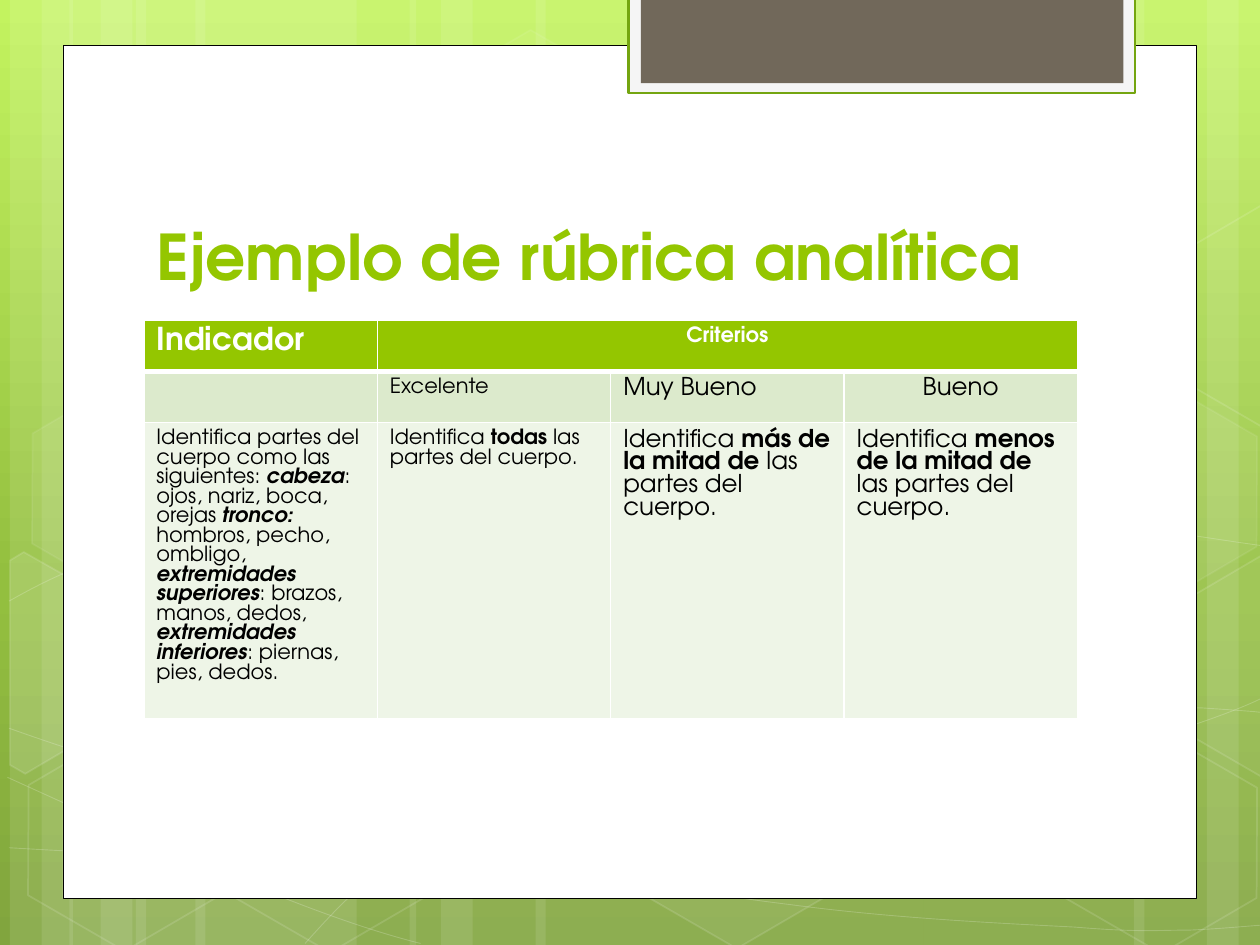
from copy import deepcopy

from lxml import etree
from pptx import Presentation
from pptx.dml.color import RGBColor
from pptx.enum.shapes import MSO_SHAPE
from pptx.enum.text import MSO_ANCHOR, PP_ALIGN
from pptx.oxml.ns import qn
from pptx.util import Cm, Pt

RECT, HEXA = MSO_SHAPE.RECTANGLE, MSO_SHAPE.HEXAGON
LEFT, MID = PP_ALIGN.LEFT, PP_ALIGN.CENTER
FONT = "TeX Gyre Adventor"
HUES = {
    "white": "FFFFFF", "black": "000000", "lime": "94C600", "edge": "74A510",
    "pale": "F5F5F5", "brown": "71685A", "mint": "DCEACC", "mist": "EEF5E7",
    "top": "C3F35F", "mid": "93BF3F", "low": "81A53E",
}
TONE = {name: RGBColor.from_string(code) for name, code in HUES.items()}


def paint(shape, fill=None, line=None, width=1, veil=100, haze=100):
    """Set fill and line; veil and haze are their opacities in percent."""
    shape.shadow.inherit = False
    for part, hue, alpha in ((shape.fill, fill, veil), (shape.line.fill, line, haze)):
        if not hue or not alpha:
            part.background()
            continue
        part.solid()
        part.fore_color.rgb = TONE[hue]
        if alpha < 100:
            root = shape._element.spPr
            if part is not shape.fill:
                root = root.find(qn("a:ln"))
            clr = root.find(qn("a:solidFill")).find(qn("a:srgbClr"))
            etree.SubElement(clr, qn("a:alpha")).set("val", str(alpha * 1000))
    if line:
        shape.line.width = Pt(width)


def trace(points, close):
    spots = [(Cm(x), Cm(y)) for x, y in points]
    pen = shapes.build_freeform(*spots[0], scale=1.0)
    pen.add_line_segments(spots[1:], close=close)
    return pen.convert_to_shape()


deck = Presentation()
deck.slide_width, deck.slide_height = Cm(25.4), Cm(19.05)
slide = deck.slides.add_slide(deck.slide_layouts[5])
shapes = slide.shapes

# Background gradient
back = slide.background.fill
back.gradient()
back.gradient_angle = 270
stops = slide._element.find(".//" + qn("a:gsLst"))
stops.append(deepcopy(stops[-1]))
for stop, hue, place in zip(back.gradient_stops, ("top", "mid", "low"), (0, 0.62, 1)):
    stop.color.rgb = TONE[hue]
    stop.position = place

# Vertical light bands
bands = [
    (2.74, 4.45), (0.2, 1.27), (0.84, 2.11), (3.94, 4.45), (1.4, 1.27), (2.03, 2.11),
    (18.62, 4.45), (24.33, 1.27), (22.86, 2.11), (10.8, 7.82), (8.26, 1.27), (8.89, 2.11),
]
for x, wide in bands:
    band = shapes.add_shape(RECT, Cm(x), 0, Cm(wide), deck.slide_height)
    paint(band, "white", veil=10)

# Thin waves: a start point, then three Bézier points for each stretch
waves = [
    [(0.18, 17.09), (1.55, 17.17), (2.92, 17.25), (4.83, 17.22), (6.73, 17.2),
     (9.09, 17.15), (11.63, 16.89), (14.17, 16.64), (17.78, 16.15), (20.12, 15.67),
     (22.43, 15.19), (24.82, 14.43), (25.58, 14)],
    [(0.18, 12.12), (0.91, 11.71), (1.65, 11.33), (3.07, 10.95), (4.52, 10.57),
     (6.58, 10.01), (8.81, 9.83), (11.07, 9.65), (13.82, 9.63), (16.61, 9.83),
     (19.41, 10.03), (24.05, 10.82), (25.58, 11.02)],
    [(0.15, 15.67), (3.23, 17.07), (6.27, 18.47), (8.48, 19.02)],
    [(0.18, 14.68), (0.97, 14.96), (1.78, 15.24), (3.25, 15.65), (4.72, 16.03),
     (6.93, 16.66), (9.07, 17.09), (11.18, 17.53), (13.84, 17.98), (15.95, 18.24),
     (18.06, 18.52), (20.32, 18.62), (21.67, 18.69), (22.99, 18.8), (23.34, 18.75),
     (24, 18.75), (24.66, 18.72), (25.12, 18.67), (25.58, 18.64)],
    [(6.15, 19.02), (6.6, 18.52), (7.06, 18.01), (7.67, 17.55), (8.28, 17.09),
     (9.14, 16.59), (9.86, 16.23), (10.57, 15.88), (11, 15.72), (11.94, 15.47),
     (12.88, 15.21), (14.55, 14.86), (15.44, 14.68), (16.36, 14.5), (16.48, 14.5),
     (17.27, 14.45), (18.06, 14.38), (19.3, 14.3), (20.17, 14.27), (21.06, 14.25),
     (22.5, 14.27), (22.5, 14.27), (23.1, 14.27), (23.6, 14.27), (24.21, 14.27),
     (24.66, 14.3), (25.1, 14.33), (25.32, 14.35), (25.55, 14.38), (25.48, 14.35),
     (25.55, 14.38)],
]
for points in waves:
    wave = trace(points, False)
    route = wave._element.find(".//" + qn("a:path"))
    legs = route.findall(qn("a:lnTo"))
    for i in range(0, len(legs), 3):
        curve = etree.SubElement(route, qn("a:cubicBezTo"))
        for leg in legs[i:i + 3]:
            curve.append(leg[0])
            route.remove(leg)
    paint(wave, line="white", width=0.5, haze=20)

# Hexagons: left, top, fill opacity, line opacity
cells = [
    (8.48, 0.91, 4, 8), (12.62, 14.96, 6, 12), (0.28, 15.01, 0, 12), (0.36, 7.92, 7, 8),
    (4.42, 15.04, 0, 12), (19.13, 11.51, 10, 12), (21.18, 15.06, 0, 12), (21.18, 7.98, 7, 8),
]
for x, y, veil, haze in cells:
    cell = shapes.add_shape(HEXA, Cm(x), Cm(y), Cm(4.45), Cm(3.86))
    cell.adjustments[0] = 0.285
    cell.rotation = 30
    paint(cell, "white", "white", veil=veil, haze=haze)

# Hexagons cut off by the slide edge
cuts = [
    (10, [(0.2, 11.3), (0.48, 11.13), (2.44, 12.24), (2.41, 14.48), (0.51, 15.6), (0.2, 15.42)]),
    (4, [(23.52, 12.32), (25.43, 11.2), (25.63, 11.33), (25.63, 15.57), (25.45, 15.67),
         (23.52, 14.55)]),
    (0, [(23.52, 5.26), (25.43, 4.14), (25.65, 4.27), (25.63, 8.51), (25.45, 8.61),
         (23.52, 7.49)]),
]
for veil, points in cuts:
    paint(trace(points, True), "white", "white", veil=veil, haze=12)

# White page and the tab at its top
panels = [
    (1.27, 0.91, 22.86, 17.2, "white", "black", 0.5),
    (12.67, -0.05, 10.21, 1.93, "pale", "edge", 1.25),
    (12.92, -0.05, 9.73, 1.73, "brown", None, 0),
]
for x, y, wide, high, fill, line, width in panels:
    panel = shapes.add_shape(RECT, Cm(x), Cm(y), Cm(wide), Cm(high))
    paint(panel, fill, line, width)

# Title, brought in front of the page
title = shapes.title
title.left, title.top, title.width, title.height = Cm(2.9), Cm(2.86), Cm(19.51), Cm(3.18)
title.text_frame.text = "Ejemplo de rúbrica analítica"
title.text_frame.vertical_anchor = MSO_ANCHOR.BOTTOM
head = title.text_frame.paragraphs[0]
head.alignment = LEFT
font = head.runs[0].font
font.name, font.size, font.bold = FONT, Pt(36), True
font.color.rgb = TONE["lime"]
shapes._spTree.append(title._element)

# Rubric: text, size, alignment; asterisks enclose the stressed words
rows = [
    (1.03, "lime", [("Indicador", 18, LEFT), ("Criterios", 12, MID), None, None]),
    (1.03, "mint", [("", 12, LEFT), ("Excelente", 12, LEFT), ("Muy Bueno", 14, LEFT),
                    ("Bueno", 14, MID)]),
    (5.97, "mist", [
        ("Identifica partes del cuerpo como las siguientes: *cabeza*: ojos, nariz, boca, "
         "orejas *tronco: *hombros, pecho, ombligo, *extremidades superiores*: brazos, "
         "manos, dedos, *extremidades inferiores*: piernas, pies, dedos.", 12, LEFT),
        ("Identifica* todas* las partes del cuerpo.", 12, LEFT),
        ("Identifica* más de la mitad de* las partes del cuerpo.", 14, LEFT),
        ("Identifica* menos de la mitad de* las partes del cuerpo.", 14, LEFT)]),
]
grid = shapes.add_table(3, 4, Cm(2.9), Cm(6.46), Cm(18.82), Cm(8.03)).table
grid.cell(0, 1).merge(grid.cell(0, 3))
for r, (high, fill, items) in enumerate(rows):
    grid.rows[r].height = Cm(high)
    for c, item in enumerate(items):
        cell = grid.cell(r, c)
        cell.fill.solid()
        cell.fill.fore_color.rgb = TONE[fill]
        edges = {"a:lnL": 1, "a:lnR": 1, "a:lnT": 3 if r == 1 else 1, "a:lnB": 1 if r else 3}
        for n, (side, width) in enumerate(edges.items()):
            edge = etree.Element(qn(side), w=str(Pt(width)))
            solid = etree.SubElement(edge, qn("a:solidFill"))
            etree.SubElement(solid, qn("a:srgbClr"), val=HUES["white"])
            cell._tc.tcPr.insert(n, edge)
        if not item:
            continue
        text, size, align = item
        para = cell.text_frame.paragraphs[0]
        para.alignment = align
        para.font.size = Pt(size)
        for n, piece in enumerate(text.split("*")):
            if not piece:
                continue
            run = para.add_run()
            run.text = piece
            font = run.font
            font.name, font.size = FONT, Pt(size)
            font.bold = r == 0 or n % 2 == 1
            font.italic = c == 0 and n % 2 == 1
            font.color.rgb = TONE["black" if r else "white"]

deck.save("out.pptx")
